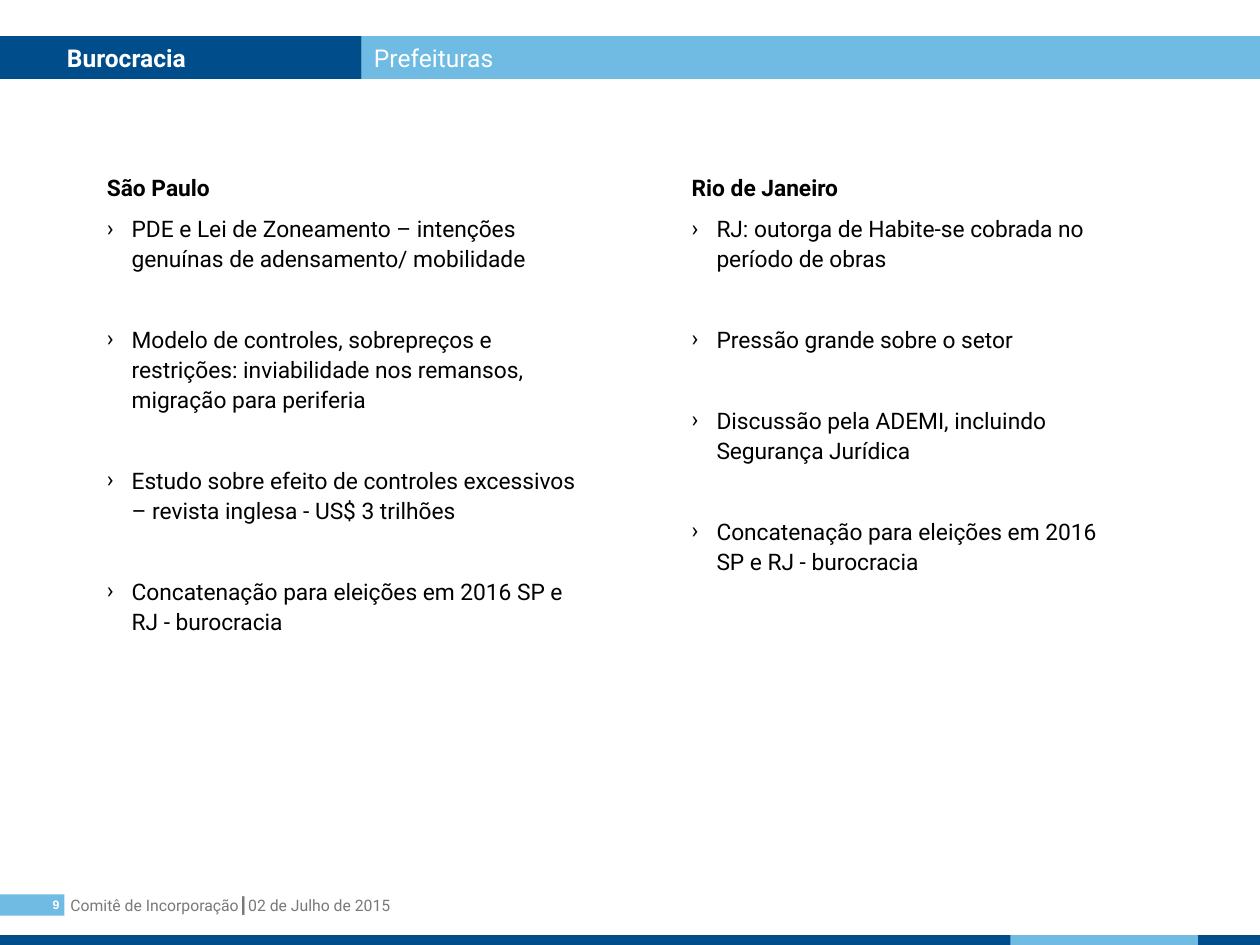
from lxml import etree
from pptx import Presentation
from pptx.dml.color import RGBColor
from pptx.enum import shapes, text
from pptx.oxml.ns import qn
from pptx.util import Cm, Pt

NAVY, SKY, WHITE, BLACK, GREY = "004D8C", "6FBBE4", "FFFFFF", "000000", "797979"
PAGE_WIDTH, PAGE_HEIGHT = 25.4, 19.05
BAR_TOP, BAR_HEIGHT, BAR_SPLIT = 0.73, 0.86, 7.29
STRIP_TOP, STRIP_HEIGHT = 18.85, 0.2
LIST_TOP, LIST_INDENT = 3.33, 0.5

TITLE, SUBTITLE = "Burocracia", "Prefeituras"
FOOTER = "Comitê de Incorporação┃02 de Julho de 2015"
PAGE_NUMBER = "9"

# left, width, height, heading, items
CITIES = [
    (1.9, 10.21, 10.46, "São Paulo", [
        "PDE e Lei de Zoneamento – intenções genuínas de adensamento/ mobilidade",
        "Modelo de controles, sobrepreços e restrições: inviabilidade nos remansos, "
        "migração para periferia",
        "Estudo sobre efeito de controles excessivos – revista inglesa - US$ 3 trilhões",
        "Concatenação para eleições em 2016 SP e RJ - burocracia",
    ]),
    (13.69, 9.19, 9.25, "Rio de Janeiro", [
        "RJ: outorga de Habite-se cobrada no período de obras",
        "Pressão grande sobre o setor",
        "Discussão pela ADEMI, incluindo Segurança Jurídica",
        "Concatenação para eleições em 2016 SP e RJ - burocracia",
    ]),
]


def rgb(value):
    return RGBColor.from_string(value)


def place(shape, left, top, width, height):
    shape.left, shape.top = Cm(left), Cm(top)
    shape.width, shape.height = Cm(width), Cm(height)


def fill_with(shape, color):
    shape.fill.solid()
    shape.fill.fore_color.rgb = rgb(color)


def add_block(page, left, top, width, height, color):
    block = page.shapes.add_shape(
        shapes.MSO_SHAPE.RECTANGLE, Cm(left), Cm(top), Cm(width), Cm(height))
    block.shadow.inherit = False
    block.line.fill.background()
    fill_with(block, color)
    return block


def style(para, size, color, bold=False, font="Roboto", align=text.PP_ALIGN.LEFT):
    para.alignment = align
    for span in para.runs:
        span.font.name, span.font.size, span.font.bold = font, Pt(size), bold
        span.font.color.rgb = rgb(color)


def write_line(shape, words, size, color, **options):
    """Fill a shape with one vertically centred line of text."""
    frame = shape.text_frame
    frame.auto_size = text.MSO_AUTO_SIZE.NONE
    frame.vertical_anchor = text.MSO_ANCHOR.MIDDLE
    frame.text = words
    style(frame.paragraphs[0], size, color, **options)


def set_bullet(para, char=None):
    """Give the paragraph a hanging bullet, or none at all."""
    props = para._p.get_or_add_pPr()
    indent = Cm(LIST_INDENT) if char else 0
    props.set("marL", str(indent))
    props.set("indent", str(-indent))
    if char:
        color = etree.SubElement(props, qn("a:buClr"))
        etree.SubElement(color, qn("a:srgbClr"), val=BLACK)
        etree.SubElement(props, qn("a:buFont"), typeface="Roboto")
        etree.SubElement(props, qn("a:buChar"), char=char)
    else:
        etree.SubElement(props, qn("a:buNone"))


def write_list(body, heading, items):
    frame = body.text_frame
    frame.word_wrap = True
    frame.auto_size = text.MSO_AUTO_SIZE.NONE
    frame.vertical_anchor = text.MSO_ANCHOR.TOP
    frame.text = "\n".join([heading, *items])
    for index, para in enumerate(frame.paragraphs):
        set_bullet(para, "›" if index else None)
        para.line_spacing = 1.1
        para.space_before = Pt((0, 6)[index] if index < 2 else 29)
        style(para, 13, BLACK, bold=index == 0)


def main():
    deck = Presentation()
    deck.slide_width, deck.slide_height = Cm(PAGE_WIDTH), Cm(PAGE_HEIGHT)
    page = deck.slides.add_slide(deck.slide_layouts.get_by_name("Two Content"))
    title, *bodies = page.placeholders

    place(title, 0, BAR_TOP, BAR_SPLIT, BAR_HEIGHT)
    fill_with(title, NAVY)
    title.text_frame.margin_left = Cm(1.35)
    write_line(title, TITLE, 14, WHITE, bold=True)
    subtitle = add_block(page, BAR_SPLIT, BAR_TOP, PAGE_WIDTH - BAR_SPLIT, BAR_HEIGHT, SKY)
    write_line(subtitle, SUBTITLE, 14, WHITE)

    for body, (left, width, height, heading, items) in zip(bodies, CITIES):
        place(body, left, LIST_TOP, width, height)
        write_list(body, heading, items)

    footer = page.shapes.add_textbox(Cm(1.17), Cm(17.93), Cm(18.54), Cm(0.64))
    footer.text_frame.word_wrap = True
    write_line(footer, FOOTER, 9, GREY)
    number = add_block(page, 0, 18.03, 1.3, 0.43, SKY)
    frame = number.text_frame
    frame.margin_left = frame.margin_top = frame.margin_bottom = 0
    frame.margin_right = Cm(0.1)
    write_line(number, PAGE_NUMBER, 7, WHITE, bold=True, font="Arial",
               align=text.PP_ALIGN.RIGHT)

    add_block(page, 0, STRIP_TOP, PAGE_WIDTH, STRIP_HEIGHT, NAVY)
    add_block(page, 20.37, STRIP_TOP, 3.78, STRIP_HEIGHT, SKY)
    deck.save("out.pptx")


if __name__ == "__main__":
    main()
